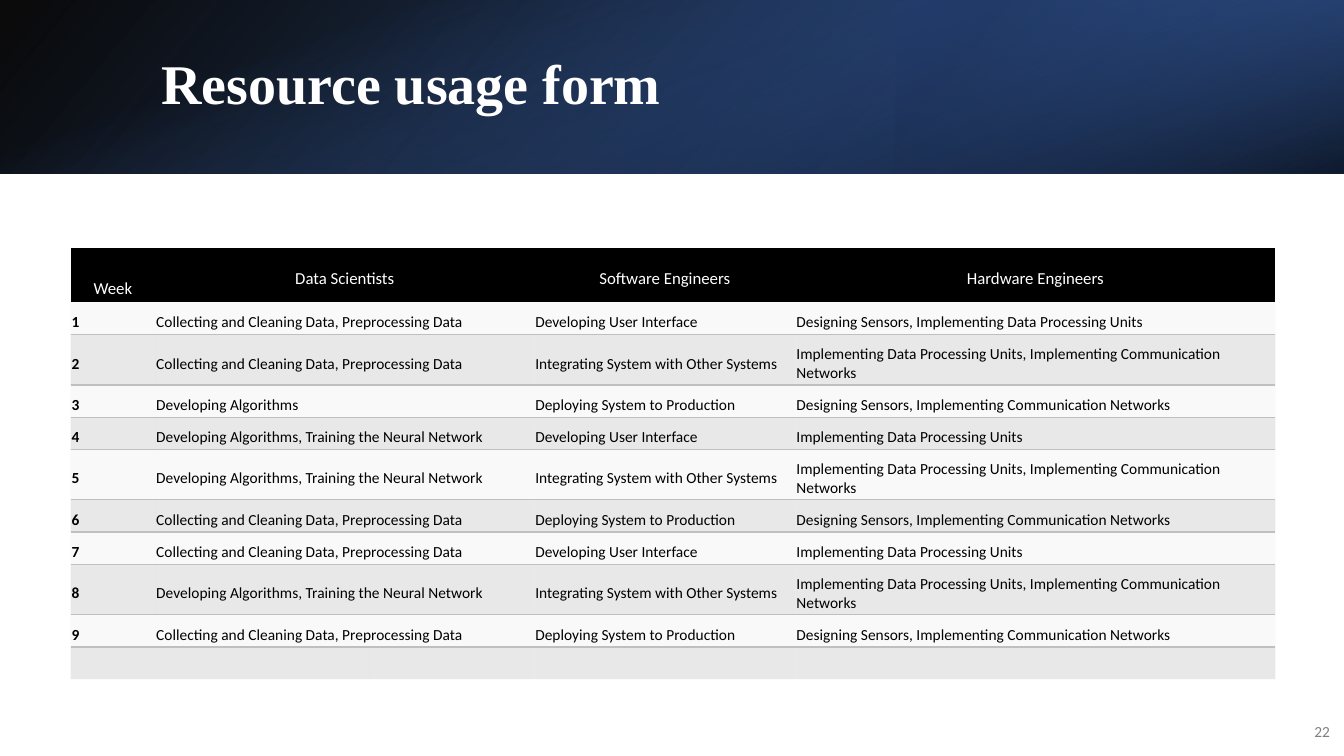
from lxml import etree
from pptx import Presentation
from pptx.dml.color import RGBColor
from pptx.enum.shapes import MSO_SHAPE
from pptx.enum.text import MSO_ANCHOR, PP_ALIGN
from pptx.oxml import parse_xml
from pptx.oxml.ns import nsdecls, qn
from pptx.util import Inches, Pt

RECTANGLE = MSO_SHAPE.RECTANGLE
MIDDLE = MSO_ANCHOR.MIDDLE
LEFT, CENTER, RIGHT = PP_ALIGN.LEFT, PP_ALIGN.CENTER, PP_ALIGN.RIGHT

# Content
TITLE = "Resource usage form"
PAGE_NUMBER = "22"
HEADERS = ("Week", "Data Scientists", "Software Engineers", "Hardware Engineers")
COLLECT = "Collecting and Cleaning Data, Preprocessing Data"
ALGORITHMS = "Developing Algorithms"
TRAIN = "Developing Algorithms, Training the Neural Network"
INTERFACE = "Developing User Interface"
INTEGRATE = "Integrating System with Other Systems"
DEPLOY = "Deploying System to Production"
UNITS = "Implementing Data Processing Units"
UNITS_NETWORKS = "Implementing Data Processing Units, Implementing Communication Networks"
SENSORS_UNITS = "Designing Sensors, Implementing Data Processing Units"
SENSORS_NETWORKS = "Designing Sensors, Implementing Communication Networks"
WEEKS = [
    (COLLECT, INTERFACE, SENSORS_UNITS),
    (COLLECT, INTEGRATE, UNITS_NETWORKS),
    (ALGORITHMS, DEPLOY, SENSORS_NETWORKS),
    (TRAIN, INTERFACE, UNITS),
    (TRAIN, INTEGRATE, UNITS_NETWORKS),
    (COLLECT, DEPLOY, SENSORS_NETWORKS),
    (COLLECT, INTERFACE, UNITS),
    (TRAIN, INTEGRATE, UNITS_NETWORKS),
    (COLLECT, DEPLOY, SENSORS_NETWORKS),
]

# Format values
COLORS = {"black": "000000", "white": "FFFFFF", "light": "F2F2F2", "rule": "BFBFBF",
          "gray": "808080", "blue": "4472C4", "navy": "203864", "deep": "2F5597"}
SLIDE_W, SLIDE_H, BAND_H = 13.33, 7.5, 1.72
BAND_LAYERS = [  # stops: position, colour, opacity (percent)
    {"at": (0, 0, SLIDE_W, BAND_H), "rotation": 0, "flip": True, "angle": 140,
     "stops": ((0, "black", 96), (100, "deep", 100))},
    {"at": (SLIDE_W * 2 / 3, 0, SLIDE_W / 3, BAND_H), "rotation": 180, "flip": True,
     "angle": 320, "stops": ((19, "navy", 68), (100, "blue", 79))},
    {"at": ((SLIDE_W - BAND_H) / 2, (BAND_H - SLIDE_W) / 2, BAND_H, SLIDE_W),
     "rotation": 90, "flip": False, "angle": 340,
     "stops": ((23, "blue", 0), (99, "black", 74))},
]
COLUMN_WIDTHS = (0.84, 2.13, 1.63, 2.59, 4.76)
CONTENT_COLUMNS = (0, 1, 3, 4)  # the second column is spanned into the third
HEADER_H, ROW_H, TWO_LINE_H = 0.54, 0.32, 0.5
HEADER_LINE_H = 0.2
NO_STYLE = "{2D5ABB26-0587-4C30-8999-92F81FD0307C}"
CELL_FORMAT = {"margin_left": Inches(0.01), "margin_top": Inches(0.09),
               "margin_right": Inches(0.01), "margin_bottom": Inches(0.01),
               "vertical_anchor": MIDDLE}


def rgb(name):
    return RGBColor.from_string(COLORS[name])


def write(paragraph, text, size, color, align=LEFT, face="Calibri", bold=False):
    paragraph.alignment = align
    run = paragraph.add_run()
    run.text = text
    run.font.color.rgb = rgb(color)
    for key, value in {"size": Pt(size), "name": face, "bold": bold}.items():
        setattr(run.font, key, value)


def fill_gradient(shape, stops, angle):
    stop_xml = "".join(
        f'<a:gs pos="{pos * 1000}"><a:srgbClr val="{COLORS[color]}">'
        f'<a:alpha val="{opacity * 1000}"/></a:srgbClr></a:gs>'
        for pos, color, opacity in stops)
    gradient = parse_xml(
        f'<a:gradFill {nsdecls("a")} rotWithShape="1"><a:gsLst>{stop_xml}</a:gsLst>'
        f'<a:lin ang="{angle * 60000}" scaled="0"/></a:gradFill>')
    shape._element.spPr.find(qn("a:prstGeom")).addnext(gradient)


def fill_cell(cell, color, opacity=100):
    cell.fill.solid()
    cell.fill.fore_color.rgb = rgb(color)
    if opacity < 100:
        srgb = cell._tc.tcPr.find(".//" + qn("a:srgbClr"))
        etree.SubElement(srgb, qn("a:alpha")).set("val", str(opacity * 1000))


def rule_cell(cell, side):
    cell._tc.tcPr.insert(0, parse_xml(
        f'<a:{side} {nsdecls("a")} w="12700"><a:solidFill>'
        f'<a:srgbClr val="{COLORS["rule"]}"/></a:solidFill></a:{side}>'))


prs = Presentation()
prs.slide_width, prs.slide_height = Inches(SLIDE_W), Inches(SLIDE_H)
slide = prs.slides.add_slide(prs.slide_layouts[5])

# Header band
for layer in BAND_LAYERS:
    band = slide.shapes.add_shape(RECTANGLE, *map(Inches, layer["at"]))
    band.shadow.inherit = False
    band.line.fill.background()
    band.rotation = layer["rotation"]
    if layer["flip"]:
        band._element.spPr.get_or_add_xfrm().set("flipH", "1")
    fill_gradient(band, layer["stops"], layer["angle"])

# Title, brought in front of the band
title = slide.shapes.title
title.left, title.top, title.width, title.height = map(Inches, (1.5, 0.38, 10.98, 0.96))
title.text_frame.vertical_anchor = MIDDLE
title.text_frame.paragraphs[0].line_spacing = 0.9
write(title.text_frame.paragraphs[0], TITLE, 40, "white", face="Times New Roman", bold=True)
slide.shapes._spTree.append(title._element)

# Page number
page = slide.shapes.add_textbox(*map(Inches, (12.8, 7.06, 0.49, 0.4))).text_frame
page.word_wrap = True
page.vertical_anchor = MIDDLE
page.paragraphs[0].space_after = Pt(6)
write(page.paragraphs[0], PAGE_NUMBER, 11, "gray", RIGHT)

# Weekly table: header, one row a week, one empty closing row
row_heights = [HEADER_H]
row_heights += [TWO_LINE_H if hardware == UNITS_NETWORKS else ROW_H for *_, hardware in WEEKS]
row_heights.append(ROW_H)
usage = slide.shapes.add_table(
    len(row_heights), len(COLUMN_WIDTHS), Inches(0.7), Inches(2.46),
    Inches(sum(COLUMN_WIDTHS)), Inches(sum(row_heights))).table
usage.first_row = usage.horz_banding = False
usage._tbl.tblPr.find(qn("a:tableStyleId")).text = NO_STYLE
for column, width in zip(usage.columns, COLUMN_WIDTHS):
    column.width = Inches(width)

last_row = len(row_heights) - 1
for r, height in enumerate(row_heights):
    usage.rows[r].height = Inches(height)
    span_start = 0 if r == last_row else 1
    usage.cell(r, span_start).merge(usage.cell(r, span_start + 1))
    for cell in usage.rows[r].cells:
        for key, value in CELL_FORMAT.items():
            setattr(cell, key, value)
        if r == 0:
            fill_cell(cell, "black")
        elif r % 2:
            fill_cell(cell, "light", 45)
            rule_cell(cell, "lnB")
        else:
            fill_cell(cell, "rule", 35)
            rule_cell(cell, "lnT")
        if r == last_row:
            cell.text_frame.paragraphs[0]._p.get_or_add_endParaRPr().set("sz", "1100")

for c, header in zip(CONTENT_COLUMNS, HEADERS):
    write(usage.cell(0, c).text_frame.paragraphs[0], header, 12, "white", CENTER)
usage.cell(0, 0).margin_top += Inches(HEADER_LINE_H)  # "Week" sits one line lower

for week, tasks in enumerate(WEEKS, start=1):
    for c, text in zip(CONTENT_COLUMNS, (str(week), *tasks)):
        write(usage.cell(week, c).text_frame.paragraphs[0], text, 11, "black", bold=c == 0)

prs.save("out.pptx")
